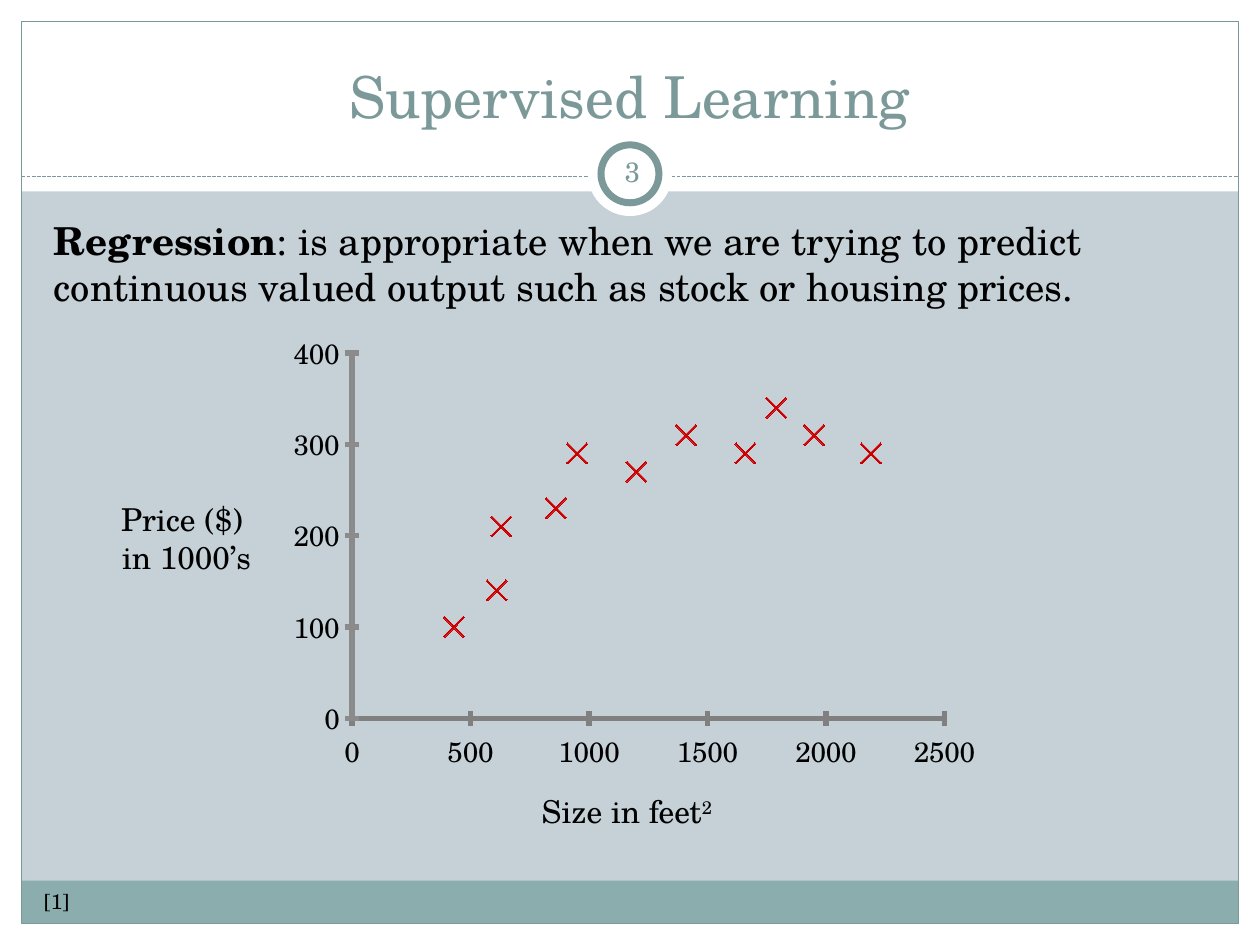
from lxml import etree
from pptx import Presentation
from pptx.chart.data import XyChartData
from pptx.dml.color import RGBColor
from pptx.enum.chart import XL_CHART_TYPE as ChartType, XL_MARKER_STYLE as MarkerStyle
from pptx.enum.chart import XL_TICK_MARK as TickMark, XL_TICK_LABEL_POSITION as LabelPosition
from pptx.enum.dml import MSO_LINE
from pptx.enum.shapes import MSO_CONNECTOR, MSO_SHAPE
from pptx.enum.text import MSO_ANCHOR, PP_ALIGN
from pptx.oxml import parse_xml
from pptx.oxml.ns import nsdecls, qn
from pptx.util import Inches, Pt

FONT = "TeX Gyre Schola"
TEAL, BAND, WHITE, BLACK = "7C999A", "8CADAE", "FFFFFF", "000000"
SIZES = [430, 610, 630, 860, 950, 1200, 1410, 1660, 1790, 1950, 2190]
PRICES = [100, 140, 210, 230, 290, 270, 310, 290, 340, 310, 290]


def color(value):
    return RGBColor.from_string(value)


def style_font(font, size, value=BLACK):
    font.name = FONT
    font.size = Pt(size)
    font.color.rgb = color(value)


def add_box(slide, kind, box, fill=None, line=None, width=0.75):
    shape = slide.shapes.add_shape(kind, *map(Inches, box))
    shape.shadow.inherit = False
    if fill:
        shape.fill.solid()
        shape.fill.fore_color.rgb = color(fill)
    else:
        shape.fill.background()
    if line:
        shape.line.color.rgb = color(line)
        shape.line.width = Pt(width)
    else:
        shape.line.fill.background()
    return shape


def add_text(slide, box, lines, size, value=BLACK, align=PP_ALIGN.LEFT, wrap=True):
    """Each line is a list of run texts; returns the text frame."""
    frame = slide.shapes.add_textbox(*map(Inches, box)).text_frame
    frame.word_wrap = wrap
    for index, runs in enumerate(lines):
        paragraph = frame.paragraphs[0] if index == 0 else frame.add_paragraph()
        paragraph.alignment = align
        for text in runs:
            run = paragraph.add_run()
            run.text = text
            style_font(run.font, size, value)
    return frame


def add_frame(slide, left, top, width, height):
    """White margins, header, footer band and ring around the slide."""
    margin, header = 0.17, 1.52
    right, bottom = left + width - margin, top + height - margin
    for box in [(left, bottom, width, margin), (left, top, width, header),
                (left, top, margin, height), (right, top, margin, height)]:
        add_box(slide, MSO_SHAPE.RECTANGLE, box, WHITE)
    inner_width = width - 2 * margin
    add_box(slide, MSO_SHAPE.RECTANGLE, (left + margin, bottom - 0.34, inner_width, 0.34), BAND)
    add_box(slide, MSO_SHAPE.RECTANGLE,
            (left + margin, top + margin, inner_width, height - 2 * margin), line=TEAL)

    # Dashed divider under the title
    divider_y = Inches(top + 1.4)
    divider = slide.shapes.add_connector(
        MSO_CONNECTOR.STRAIGHT, Inches(left + margin), divider_y, Inches(right), divider_y)
    divider.line.color.rgb = color(TEAL)
    divider.line.width = Pt(0.75)
    divider.line.dash_style = MSO_LINE.SQUARE_DOT
    etree.SubElement(divider.element.spPr, qn("a:effectLst"))

    # Ring for the slide number
    center_x, center_y = left + width / 2, top + 1.38
    for diameter, line in [(0.67, None), (0.46, TEAL)]:
        box = (center_x - diameter / 2, center_y - diameter / 2, diameter, diameter)
        add_box(slide, MSO_SHAPE.OVAL, box, WHITE, line, 4)


def style_axis(axis, maximum, step, line):
    axis.minimum_scale, axis.maximum_scale = 0, maximum
    axis.major_unit = step
    axis.has_major_gridlines = False
    axis.has_title = False
    axis.major_tick_mark = TickMark.CROSS
    axis.minor_tick_mark = TickMark.NONE
    axis.tick_label_position = LabelPosition.NEXT_TO_AXIS
    axis.tick_labels.number_format = "General"
    axis.tick_labels.number_format_is_linked = False
    style_font(axis.tick_labels.font, 16)
    axis.format.line.color.rgb = color(line)
    axis.format.line.width = Pt(3)


def add_price_chart(slide, left, top, width, height):
    """Scatter chart with its two axis captions."""
    data = XyChartData()
    series = data.add_series("Series 1")
    for size, price in zip(SIZES, PRICES):
        series.add_data_point(size, price)
    chart = slide.shapes.add_chart(
        ChartType.XY_SCATTER, *map(Inches, (left, top, width, height)), data).chart
    chart.has_legend = False
    chart.has_title = False
    style_font(chart.font, 10)
    style_axis(chart.category_axis, 2500, 500, "808080")
    style_axis(chart.value_axis, 400, 100, "8B8B8B")

    # Red crosses without a joining line
    plot = chart.plots[0]
    plot.vary_by_categories = False
    points = plot.series[0]
    points.format.line.fill.background()
    points.smooth = False
    points.marker.style = MarkerStyle.X
    points.marker.size = 12
    points.marker.format.fill.background()
    points.marker.format.line.color.rgb = color("CC0000")

    # Fixed inner plot area
    plot_area = chart.element.chart.plotArea
    for old in plot_area.findall(qn("c:layout")):
        plot_area.remove(old)
    places = "".join(f'<c:{name} val="{value}"/>' for name, value in [
        ("layoutTarget", "inner"), ("xMode", "edge"), ("yMode", "edge"),
        ("x", 0.136), ("y", 0.066), ("w", 0.776), ("h", 0.759)])
    plot_area.insert(0, parse_xml(
        f'<c:layout {nsdecls("c")}><c:manualLayout>{places}</c:manualLayout></c:layout>'))

    # Axis captions
    add_text(slide, (left - 1.11, top + 1.37, 1.24, 0.71),
             [["Price ($) "], ["in 1000’s"]], 18, align=PP_ALIGN.CENTER, wrap=False)
    caption = add_text(slide, (left + 2.22, top + 3.69, 1.57, 0.4),
                       [["Size in feet", "2 "]], 18, align=PP_ALIGN.CENTER, wrap=False)
    caption.paragraphs[0].runs[1].font._element.set("baseline", "30000")


def add_title(slide, left, top, width, height):
    title = slide.shapes.title
    title.left, title.top, title.width, title.height = map(Inches, (left, top, width, height))
    frame = title.text_frame
    frame.text = "Supervised Learning"
    frame.vertical_anchor = MSO_ANCHOR.BOTTOM
    frame.paragraphs[0].alignment = PP_ALIGN.CENTER
    style_font(frame.paragraphs[0].runs[0].font, 33, TEAL)
    # Bring the title in front of the header band
    title.element.getparent().append(title.element)


def add_definition(slide, left, top, width, height):
    frame = add_text(slide, (left, top, width, height), [[
        "Regression",
        ": is appropriate when we are trying to predict continuous valued output "
        "such as stock or housing prices."]], 22)
    paragraph = frame.paragraphs[0]
    paragraph.space_before = Pt(4.4)
    paragraph.runs[0].font.bold = True


def add_slide_number(slide, left, top, width, height):
    frame = add_text(slide, (left, top, width, height), [["3"]], 16, TEAL, PP_ALIGN.CENTER)
    frame.vertical_anchor = MSO_ANCHOR.MIDDLE
    frame.margin_left = frame.margin_right = Inches(0.05)
    frame.margin_top = frame.margin_bottom = Inches(0.05)


def main():
    presentation = Presentation()
    presentation.slide_width, presentation.slide_height = Inches(10), Inches(7.5)
    slide = presentation.slides.add_slide(presentation.slide_layouts[5])
    slide.background.fill.solid()
    slide.background.fill.fore_color.rgb = color("C5D1D7")

    add_frame(slide, 0, 0, 10, 7.5)
    add_price_chart(slide, 1.97, 2.55, 6.06, 3.82)
    add_title(slide, 0.33, 0.25, 9.33, 0.83)
    add_definition(slide, 0.33, 1.67, 9.3, 5)
    add_text(slide, (0.25, 7, 0.67, 0.42), [["[1]"]], 12)
    add_slide_number(slide, 4.77, 1.12, 0.5, 0.48)
    presentation.save("out.pptx")


if __name__ == "__main__":
    main()
